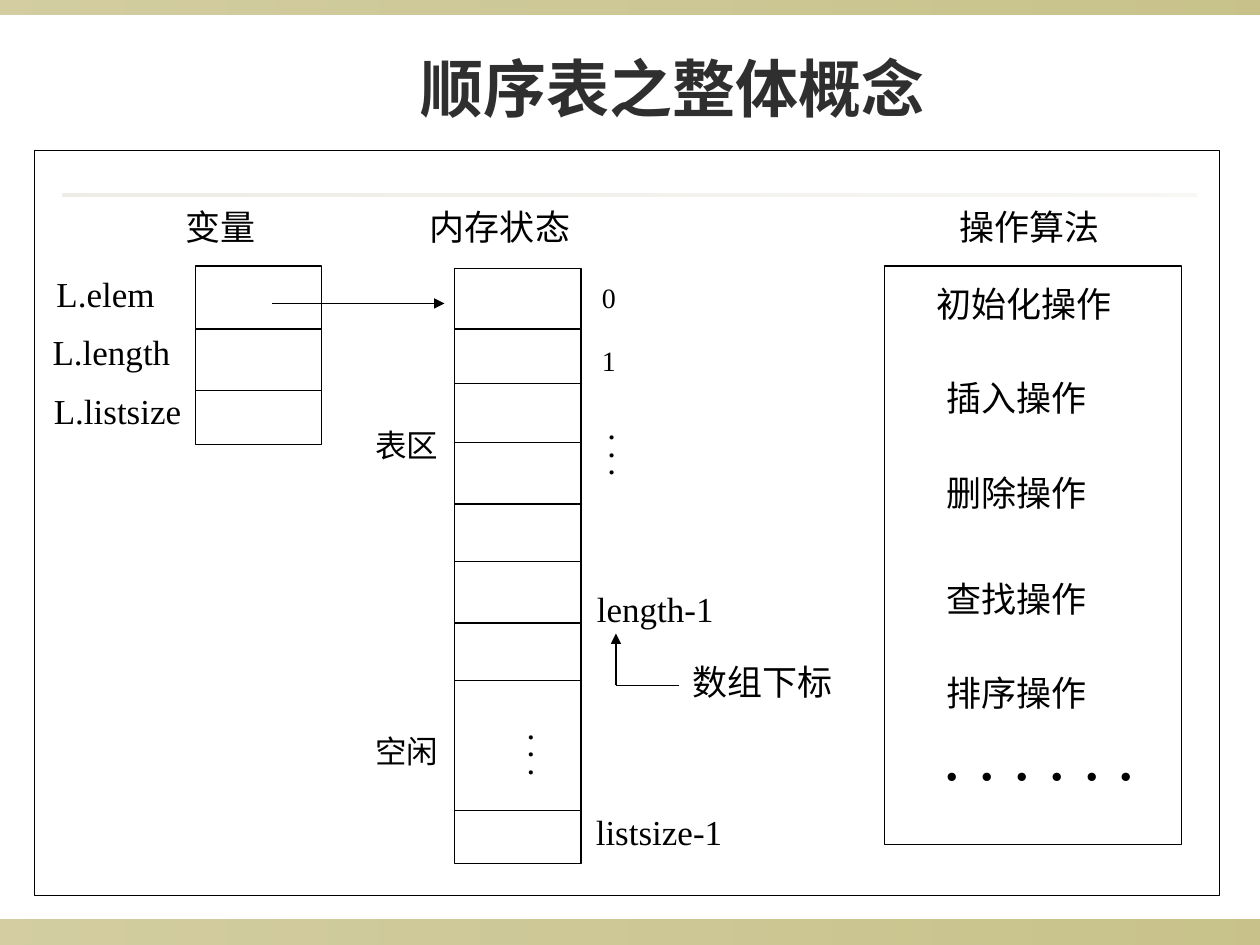
from dataclasses import dataclass

from lxml.etree import SubElement
from pptx import Presentation
from pptx.dml.color import RGBColor
from pptx.enum.shapes import MSO_CONNECTOR, MSO_SHAPE
from pptx.enum.text import MSO_ANCHOR, PP_ALIGN
from pptx.oxml.ns import qn
from pptx.util import Pt


@dataclass(frozen=True)
class Theme:
    ink: RGBColor = RGBColor(0, 0, 0)
    paper: RGBColor = RGBColor(255, 255, 255)
    title_ink: RGBColor = RGBColor(0x2F, 0x2F, 0x2F)
    band: RGBColor = RGBColor(0x91, 0x84, 0x15)
    rule: RGBColor = RGBColor(0xDC, 0xD9, 0xCC)
    title_size: int = 36
    dots_size: int = 40
    body_size: int = 20
    area_size: int = 18
    index_size: int = 16
    line_width: float = 0.75
    serif: str = "Times New Roman"
    sans: str = "Arial"
    chinese: str = "Noto Sans CJK SC"


THEME = Theme()


def style_paragraph(para, size, font, color=THEME.ink, bold=False):
    for span in para.runs:
        span.font.size = Pt(size)
        span.font.name = font
        span.font.bold = bold
        span.font.color.rgb = color
        latin = span.font._element.find(qn("a:latin"))
        east_asian = SubElement(span.font._element, qn("a:ea"), typeface=THEME.chinese)
        latin.addnext(east_asian)


def add_title(page, text):
    title = page.shapes.title
    title.left, title.top, title.width, title.height = Pt(78.5), Pt(26), Pt(612), Pt(48)
    frame = title.text_frame
    frame.text = text
    frame.vertical_anchor = MSO_ANCHOR.MIDDLE
    frame.paragraphs[0].alignment = PP_ALIGN.CENTER
    style_paragraph(frame.paragraphs[0], THEME.title_size, THEME.chinese, THEME.title_ink, True)


def add_band(page, left, top, width, height, color, opacities):
    band = page.shapes.add_shape(MSO_SHAPE.RECTANGLE, Pt(left), Pt(top), Pt(width), Pt(height))
    band.shadow.inherit = False
    band.fill.gradient()
    band.fill.gradient_angle = 0
    for stop, position in zip(band.fill.gradient_stops, (0, 1)):
        stop.color.rgb = color
        stop.position = position
    for shade, opacity in zip(band.element.iter(qn("a:srgbClr")), opacities):
        SubElement(shade, qn("a:alpha"), val=str(opacity * 1000))
    band.line.fill.background()


def add_frame(page, left, top, right, bottom, filled=False):
    frame = page.shapes.add_shape(
        MSO_SHAPE.RECTANGLE, Pt(left), Pt(top), Pt(right - left), Pt(bottom - top)
    )
    frame.shadow.inherit = False
    if filled:
        frame.fill.solid()
        frame.fill.fore_color.rgb = THEME.paper
    else:
        frame.fill.background()
    frame.line.color.rgb = THEME.ink
    frame.line.width = Pt(THEME.line_width)


def add_line(page, start, end, arrow=False):
    line = page.shapes.add_connector(
        MSO_CONNECTOR.STRAIGHT, Pt(start[0]), Pt(start[1]), Pt(end[0]), Pt(end[1])
    )
    line.line.color.rgb = THEME.ink
    line.line.width = Pt(THEME.line_width)
    if arrow:
        SubElement(line.line._get_or_add_ln(), qn("a:tailEnd"), type="triangle")
    SubElement(line.element.spPr, qn("a:effectLst"))


def add_column(page, left, top, right, bottom, dividers, filled=False):
    add_frame(page, left, top, right, bottom, filled)
    for height in dividers:
        add_line(page, (left, height), (right, height))


def add_label(page, text, left, top, width, height=31.5,
              size=THEME.body_size, font=THEME.serif, vertical=False):
    box = page.shapes.add_textbox(Pt(left), Pt(top), Pt(width), Pt(height))
    frame = box.text_frame
    frame.word_wrap = True
    if vertical:
        frame.margin_left = frame.margin_right = Pt(3.6)
        frame.margin_top = frame.margin_bottom = Pt(7.2)
        box.element.txBody.bodyPr.set("vert", "eaVert")
    frame.text = text
    style_paragraph(frame.paragraphs[0], size, font)


def add_background(page):
    add_band(page, 0, 525.6, 720, 14.4, THEME.band, (40, 50))
    add_band(page, 0, 0, 720, 8.6, THEME.band, (40, 50))
    add_band(page, 36, 110.8, 648, 1.6, THEME.rule, (50, 20))
    add_frame(page, 19.6, 85.9, 696.9, 511.7)


def add_variables(page):
    add_label(page, "变量", 99, 113.8, 60)
    add_column(page, 111.6, 152, 183.6, 254, (188, 223), filled=True)
    add_label(page, "L.elem", 25.2, 152.2, 80)
    add_label(page, "L.length", 23, 185.2, 88)
    add_label(page, "L.listsize", 23.7, 219, 94)


def add_memory(page):
    add_label(page, "内存状态", 238.6, 113.8, 100)
    add_column(page, 259.6, 153.4, 332, 493.4, (188, 219, 253, 288, 321, 356, 389, 463))
    add_line(page, (155.6, 173.4), (254, 173.4), arrow=True)
    for text, top in (("0", 157), ("1", 193)):
        add_label(page, text, 336.8, top, 26, 26.6, THEME.index_size)
    add_label(page, "length-1", 334, 332, 88)
    add_label(page, "listsize-1", 333.4, 459.4, 94)
    for text, top in (("表区", 239.8), ("空闲", 415)):
        add_label(page, text, 207.2, top, 54, 28.8, THEME.area_size, THEME.sans)
    for left, top in ((288, 411.8), (334, 240.8)):
        add_label(page, ". . .", left, top, 38.2, 44, vertical=True)
    add_line(page, (352, 391.7), (352, 362), arrow=True)
    add_line(page, (352, 391.7), (388, 391.7))
    add_label(page, "数组下标", 388.8, 373.7, 100)


def add_algorithms(page):
    add_label(page, "操作算法", 541.4, 113.8, 100)
    add_frame(page, 505.6, 152, 675.2, 482.6)
    add_label(page, "初始化操作", 527.8, 157.7, 120)
    operations = (("插入操作", 211.7), ("删除操作", 265.7), ("查找操作", 326.2), ("排序操作", 380.2))
    for text, top in operations:
        add_label(page, text, 534, top, 100)
    add_label(page, ". . . . . .", 532, 402.5, 140, 55.4, THEME.dots_size)


def main():
    deck = Presentation()
    deck.slide_width, deck.slide_height = Pt(720), Pt(540)
    page = deck.slides.add_slide(deck.slide_layouts[5])
    add_background(page)
    add_title(page, "顺序表之整体概念")
    add_variables(page)
    add_memory(page)
    add_algorithms(page)
    deck.save("out.pptx")


if __name__ == "__main__":
    main()
